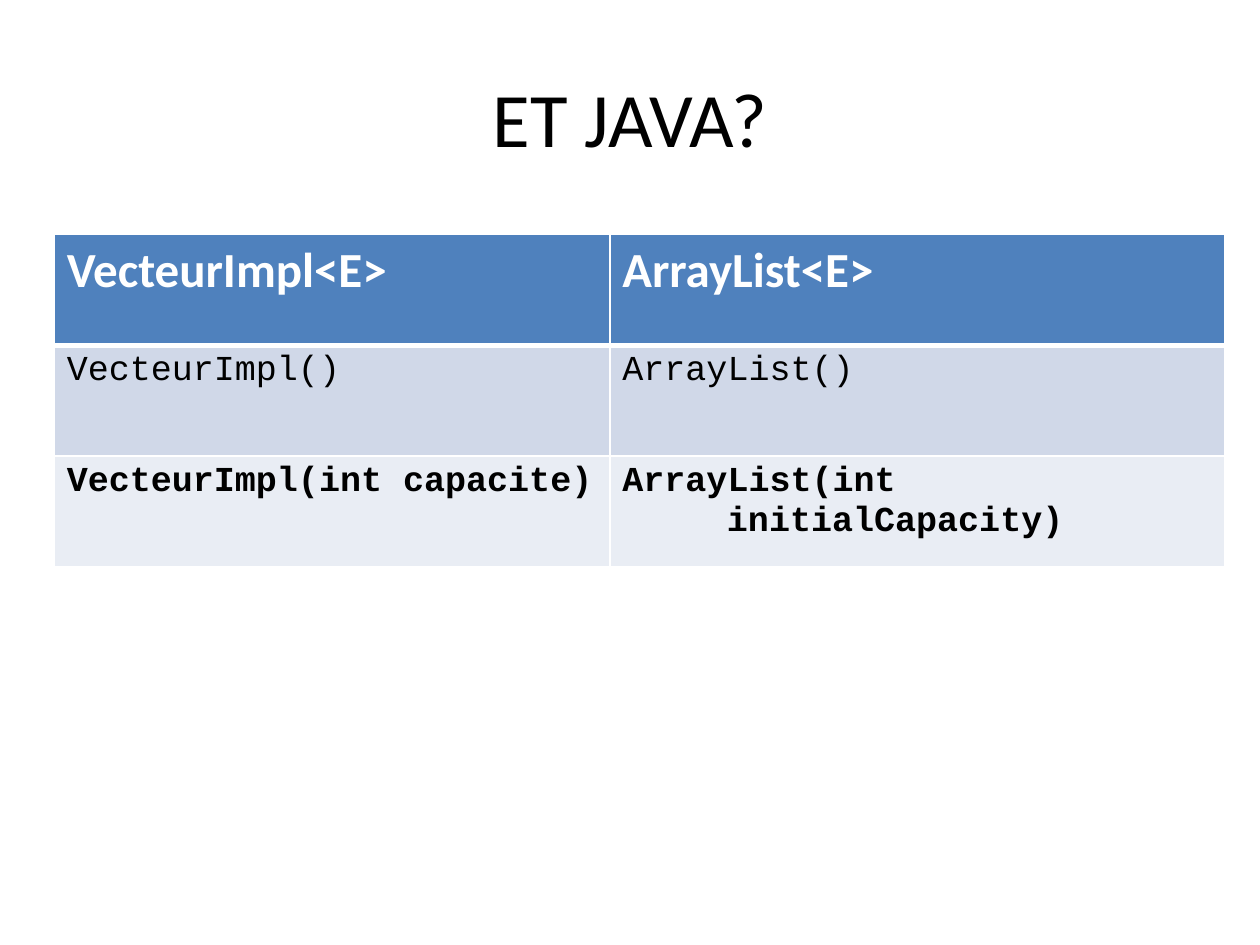
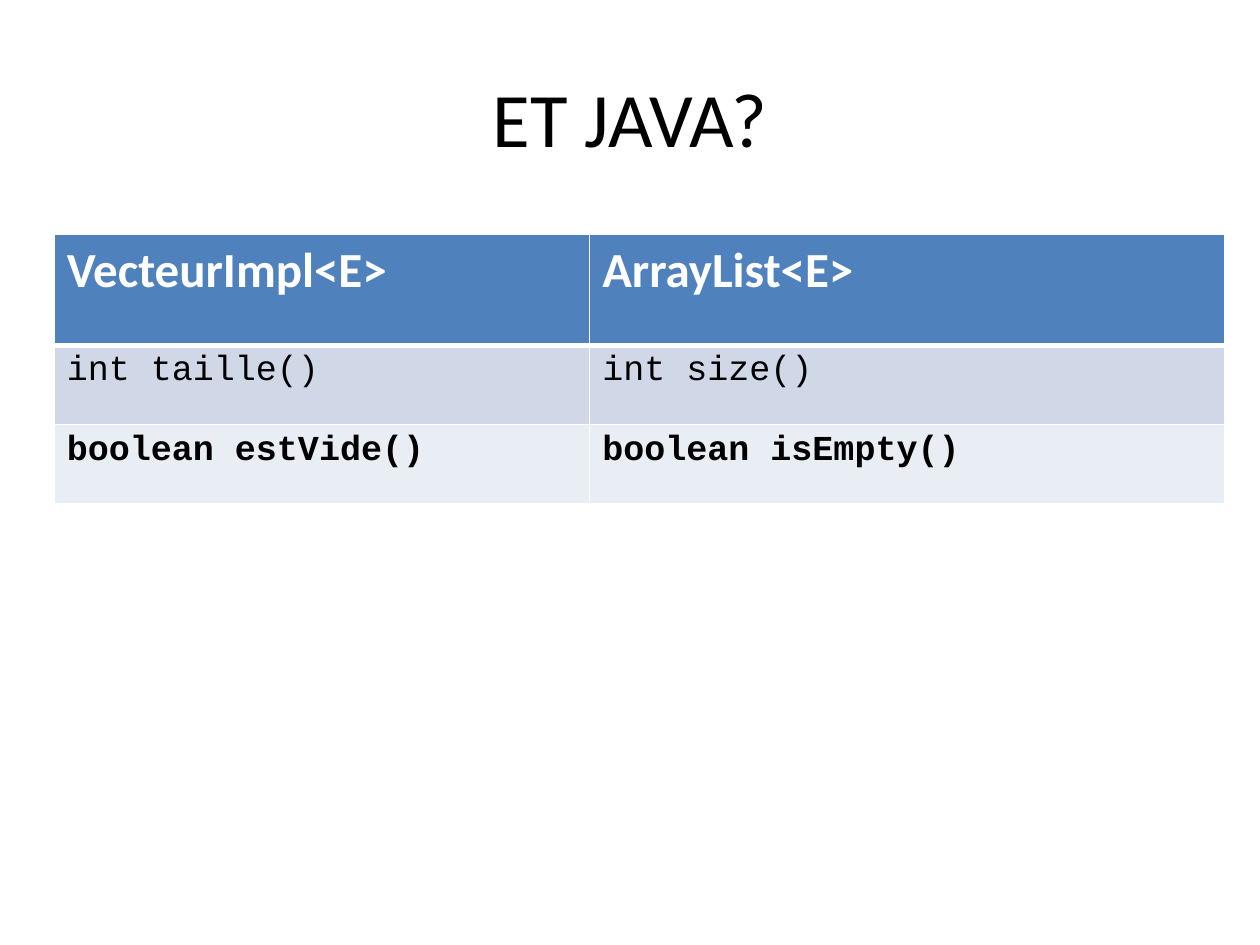
from lxml import etree
from pptx import Presentation
from pptx.dml.color import RGBColor
from pptx.enum.text import MSO_ANCHOR, PP_ALIGN
from pptx.oxml.ns import qn
from pptx.util import Inches, Pt

MIDDLE = MSO_ANCHOR.MIDDLE
CENTER = PP_ALIGN.CENTER

BLACK = RGBColor(0x00, 0x00, 0x00)
WHITE = RGBColor(0xFF, 0xFF, 0xFF)
HEADER_BLUE = RGBColor(0x4F, 0x81, 0xBD)
BAND_DARK = RGBColor(0xD0, 0xD8, 0xE8)
BAND_LIGHT = RGBColor(0xE9, 0xED, 0xF4)

TITLE_FONT = "Calibri"
CODE_FONT = "Courier New"
TITLE_ONLY = 5

TITLE = "ET JAVA?"
HEADERS = ("VecteurImpl<E>", "ArrayList<E>")
CONTINUATION_INDENT = Inches(0.83)

ROW_STYLES = (
    (HEADER_BLUE, TITLE_FONT, 28, WHITE, True),
    (BAND_DARK, CODE_FONT, 20, BLACK, False),
    (BAND_LIGHT, CODE_FONT, 20, BLACK, True),
)

COMPARISONS = (
    {
        "widths": (4.41, 4.88),
        "heights": (0.88, 0.88, 0.88),
        "methods": (
            ("VecteurImpl()", "ArrayList()"),
            ("VecteurImpl(int capacite)", "ArrayList(int\ninitialCapacity)"),
        ),
    },
    {
        "widths": (4.25, 5.04),
        "heights": (0.88, 0.63, 0.63),
        "methods": (
            ("int taille()", "int size()"),
            ("boolean estVide()", "boolean isEmpty()"),
        ),
    },
)


def format_paragraph(paragraph, font_name, size, color, bold):
    for run in paragraph.runs:
        run.font.name = font_name
        run.font.size = Pt(size)
        run.font.color.rgb = color
        run.font.bold = bold


def add_title(slide, text):
    title = slide.shapes.title
    title.left, title.top = Inches(0.5), Inches(0.3)
    title.width, title.height = Inches(9), Inches(1.25)
    text_frame = title.text_frame
    text_frame.text = text
    text_frame.vertical_anchor = MIDDLE
    paragraph = text_frame.paragraphs[0]
    paragraph.alignment = CENTER
    format_paragraph(paragraph, TITLE_FONT, 44, BLACK, False)


def add_borders(cell, sides):
    properties = cell._tc.get_or_add_tcPr()
    for side, width in sides.items():
        line = etree.SubElement(properties, qn(f"a:ln{side}"), w=str(Pt(width)))
        fill = etree.SubElement(line, qn("a:solidFill"))
        etree.SubElement(fill, qn("a:srgbClr"), val=str(WHITE))


def fill_cell(cell, text, style, sides):
    background, font_name, size, color, bold = style
    add_borders(cell, sides)
    cell.fill.solid()
    cell.fill.fore_color.rgb = background
    cell.text_frame.text = text
    for index, paragraph in enumerate(cell.text_frame.paragraphs):
        format_paragraph(paragraph, font_name, size, color, bold)
        if index:
            properties = paragraph._p.get_or_add_pPr()
            properties.set("marL", str(CONTINUATION_INDENT))


def add_comparison_table(slide, widths, heights, methods):
    rows = (HEADERS, *methods)
    frame = slide.shapes.add_table(
        len(rows), len(HEADERS), Inches(0.43), Inches(1.86),
        Inches(sum(widths)), Inches(sum(heights)),
    )
    table = frame.table
    for column, width in zip(table.columns, widths):
        column.width = Inches(width)
    for row_index, texts in enumerate(rows):
        table.rows[row_index].height = Inches(heights[row_index])
        sides = {
            "L": 1,
            "R": 1,
            "T": 3 if row_index == 1 else 1,
            "B": 3 if row_index == 0 else 1,
        }
        for column_index, text in enumerate(texts):
            cell = table.cell(row_index, column_index)
            fill_cell(cell, text, ROW_STYLES[row_index], sides)


def main():
    presentation = Presentation()
    presentation.slide_width = Inches(10)
    presentation.slide_height = Inches(7.5)
    for comparison in COMPARISONS:
        slide = presentation.slides.add_slide(presentation.slide_layouts[TITLE_ONLY])
        add_title(slide, TITLE)
        add_comparison_table(slide, **comparison)
    presentation.save("out.pptx")


if __name__ == "__main__":
    main()
